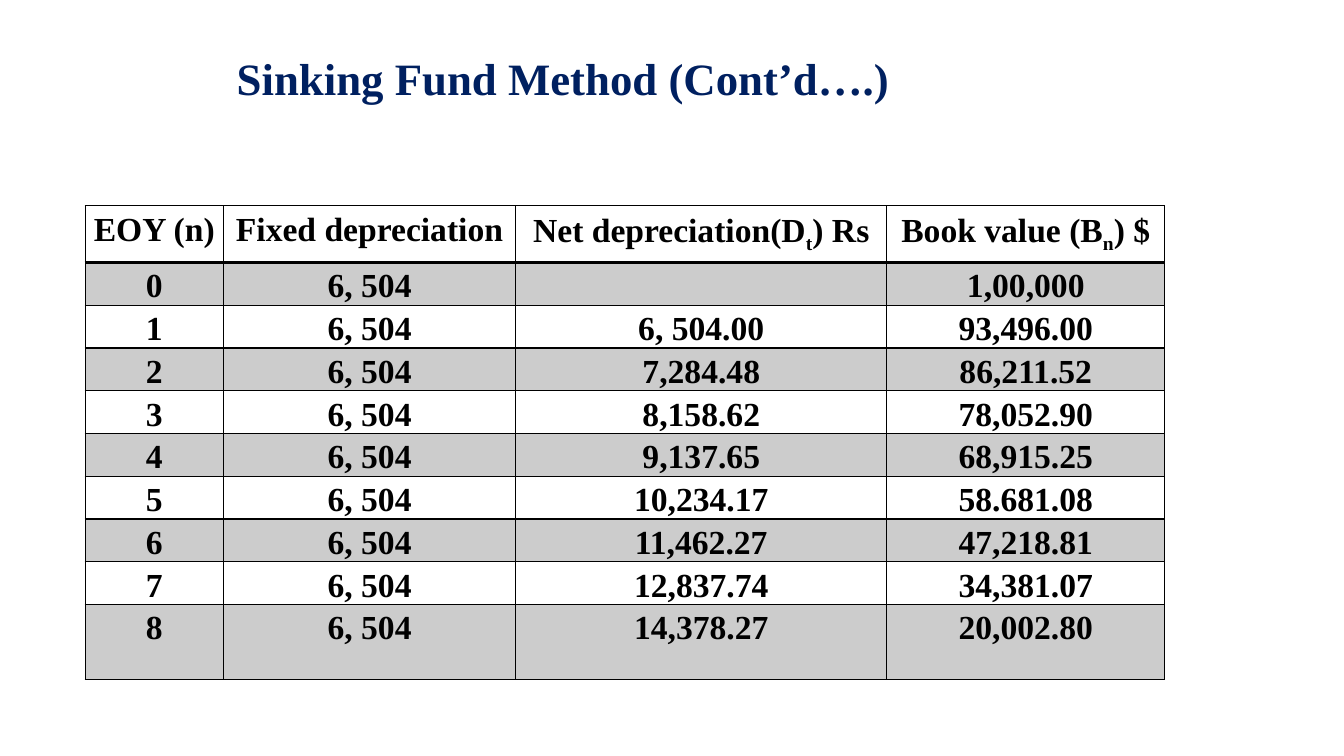
import pptx
import pptx.dml.color
import pptx.enum.text
import pptx.oxml
import pptx.oxml.ns
import pptx.util

Pt = pptx.util.Pt
HEADINGS = ["EOY (n)", "Fixed depreciation", "Net depreciation(D_t_) Rs", "Book value (B_n_) $"]
FIXED_DEPRECIATION = "6, 504"
YEARS = [
    ("", "1,00,000"),
    ("6, 504.00", "93,496.00"),
    ("7,284.48", "86,211.52"),
    ("8,158.62", "78,052.90"),
    ("9,137.65", "68,915.25"),
    ("10,234.17", "58.681.08"),
    ("11,462.27", "47,218.81"),
    ("12,837.74", "34,381.07"),
    ("14,378.27", "20,002.80"),
]


def color(value):
    return pptx.dml.color.RGBColor.from_string(value)


def write_text(frame, text, font="Times New Roman", size=24, fill="000000", spacing=1.15):
    paragraph = frame.paragraphs[0]
    paragraph.alignment = pptx.enum.text.PP_ALIGN.CENTER
    paragraph.line_spacing = spacing
    for index, part in enumerate(text.split("_")):
        if not part:
            continue
        run = paragraph.add_run()
        run.text = part
        run.font.name = font
        run.font.size = Pt(size)
        run.font.bold = True
        run.font.color.rgb = color(fill)
        if index % 2:
            run.font._element.set("baseline", "-25000")


class SlideBuilder:
    line_color = "000000"
    band_color = "000000"
    band_alpha = 20000
    title_color = "002060"

    def __init__(self, slide):
        self.slide = slide

    def title(self, text, left, top, width, height):
        shape = self.slide.shapes.add_textbox(Pt(left), Pt(top), Pt(width), Pt(height))
        frame = shape.text_frame
        frame.word_wrap = True
        frame.vertical_anchor = pptx.enum.text.MSO_ANCHOR.MIDDLE
        frame.margin_right = Pt(23.2)
        write_text(frame, text, size=32, fill=self.title_color, spacing=0.9)

    def borders(self, cell, **widths):
        properties = cell._tc.get_or_add_tcPr()
        for side in "LRTB":
            width = Pt(widths.get(side, 1))
            properties.append(pptx.oxml.parse_xml(
                f'<a:ln{side} {pptx.oxml.ns.nsdecls("a")} w="{width}"><a:solidFill>'
                f'<a:srgbClr val="{self.line_color}"/></a:solidFill></a:ln{side}>'))

    def band(self, cell):
        cell.fill.solid()
        cell.fill.fore_color.rgb = color(self.band_color)
        tint = cell._tc.tcPr.find(".//" + pptx.oxml.ns.qn("a:solidFill") + "[last()]")
        for fill in cell._tc.tcPr.findall(pptx.oxml.ns.qn("a:solidFill")):
            tint = fill[0]
        tint.append(pptx.oxml.parse_xml(
            f'<a:alpha {pptx.oxml.ns.nsdecls("a")} val="{self.band_alpha}"/>'))

    def table(self, rows, left, top, widths, heights):
        shape = self.slide.shapes.add_table(
            len(rows), len(widths), Pt(left), Pt(top), Pt(sum(widths)), Pt(sum(heights)))
        table = shape.table
        table.first_row = False
        table.horz_banding = False
        for column, width in zip(table.columns, widths):
            column.width = Pt(width)
        for row_index, (row, height) in enumerate(zip(rows, heights)):
            table.rows[row_index].height = Pt(height)
            for column_index, text in enumerate(row):
                cell = table.cell(row_index, column_index)
                cell.margin_left = cell.margin_right = Pt(5)
                cell.margin_top = cell.margin_bottom = 0
                write_text(cell.text_frame, text)
                self.borders(cell, T=2 if row_index == 1 else 1, B=2 if row_index == 0 else 1)
                if row_index % 2:
                    self.band(cell)
                else:
                    cell.fill.background()


def main():
    presentation = pptx.Presentation()
    presentation.slide_width = Pt(960)
    presentation.slide_height = Pt(540)
    builder = SlideBuilder(presentation.slides.add_slide(presentation.slide_layouts[6]))
    rows = [HEADINGS] + [
        [str(year), FIXED_DEPRECIATION, net, book] for year, (net, book) in enumerate(YEARS)]
    heights = [40.5] + [30.5] * (len(YEARS) - 1) + [53.5]
    builder.table(rows, 60.8, 147, [98.8, 208.8, 265, 198.6], heights)
    builder.title("Sinking Fund Method (Cont’d….)", 122.4, 5.8, 576, 104.4)
    presentation.save("out.pptx")


if __name__ == "__main__":
    main()
